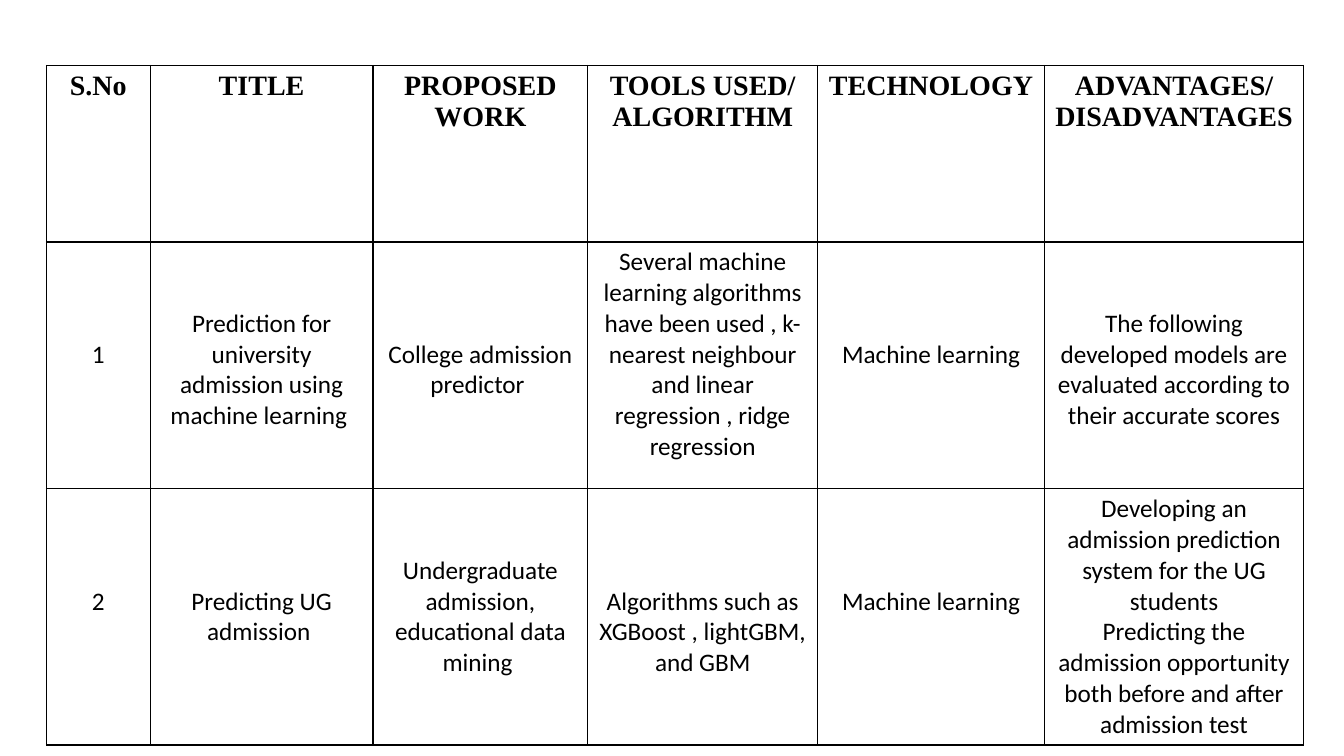
from lxml.etree import SubElement
from pptx import Presentation
from pptx.dml.color import RGBColor
from pptx.enum.text import PP_ALIGN
from pptx.oxml.ns import qn
from pptx.util import Inches, Pt

BLACK = RGBColor(0x00, 0x00, 0x00)
WHITE = RGBColor(0xFF, 0xFF, 0xFF)

COLUMN_WIDTHS = [1.03, 2.21, 2.13, 2.28, 2.25, 2.57]
ROW_HEIGHTS = [1.75, 2.45, 2.45]
BODY_LINE = 0.305
CELL_MARGIN = 0.05

HEADERS = ["S.No", "TITLE", "PROPOSED WORK", "TOOLS USED/\nALGORITHM",
           "TECHNOLOGY", "ADVANTAGES/ DISADVANTAGES"]

# Each body cell holds its text and the number of lines it is lowered by.
STUDIES = [
    [("1", 3),
     ("Prediction for university admission using machine learning ", 2),
     ("College admission predictor ", 3),
     ("Several machine learning algorithms have been used , k-nearest "
      "neighbour and linear regression , ridge regression", 0),
     ("Machine learning", 3),
     ("The following developed models are evaluated according to their "
      "accurate scores", 2)],
    [("2", 3),
     ("Predicting UG admission ", 3),
     ("Undergraduate admission, educational data mining ", 2),
     ("Algorithms such as XGBoost , lightGBM, and GBM", 3),
     ("Machine learning", 3),
     ("Developing an admission prediction system for the UG students\n"
      "Predicting the admission opportunity both before and after "
      "admission test", 0)],
]


def add_borders(cell):
    properties = cell._tc.get_or_add_tcPr()
    for position, side in enumerate(("a:lnL", "a:lnR", "a:lnT", "a:lnB")):
        line = properties.makeelement(qn(side), {"w": str(Pt(1))})
        properties.insert(position, line)
        fill = SubElement(line, qn("a:solidFill"))
        SubElement(fill, qn("a:srgbClr"), val=str(BLACK))


def fill_cell(cell, text, font_name, size, bold=False, lowered=0):
    cell.fill.solid()
    cell.fill.fore_color.rgb = WHITE
    cell.margin_top = Inches(CELL_MARGIN + lowered * BODY_LINE)
    add_borders(cell)
    frame = cell.text_frame
    for index, line in enumerate(text.split("\n")):
        para = frame.add_paragraph() if index else frame.paragraphs[0]
        para.alignment = PP_ALIGN.CENTER
        span = para.add_run()
        span.text = line
        span.font.name = font_name
        span.font.size = Pt(size)
        span.font.bold = bold
        span.font.color.rgb = BLACK


def add_survey_table(page):
    frame = page.shapes.add_table(
        len(ROW_HEIGHTS), len(COLUMN_WIDTHS), Inches(0.46), Inches(0.65),
        Inches(sum(COLUMN_WIDTHS)), Inches(sum(ROW_HEIGHTS)))
    table = frame.table
    table.first_row = False
    table.horz_banding = False
    for column, width in zip(table.columns, COLUMN_WIDTHS):
        column.width = Inches(width)
    for row, height in zip(table.rows, ROW_HEIGHTS):
        row.height = Inches(height)
    return table


def main():
    deck = Presentation()
    deck.slide_width = Inches(13.33)
    deck.slide_height = Inches(7.5)
    page = deck.slides.add_slide(deck.slide_layouts[6])
    table = add_survey_table(page)
    for column, header in enumerate(HEADERS):
        fill_cell(table.cell(0, column), header, "Times New Roman", 20, bold=True)
    for row, study in enumerate(STUDIES, start=1):
        for column, (text, lowered) in enumerate(study):
            fill_cell(table.cell(row, column), text, "Calibri", 18, lowered=lowered)
    deck.save("out.pptx")


if __name__ == "__main__":
    main()
